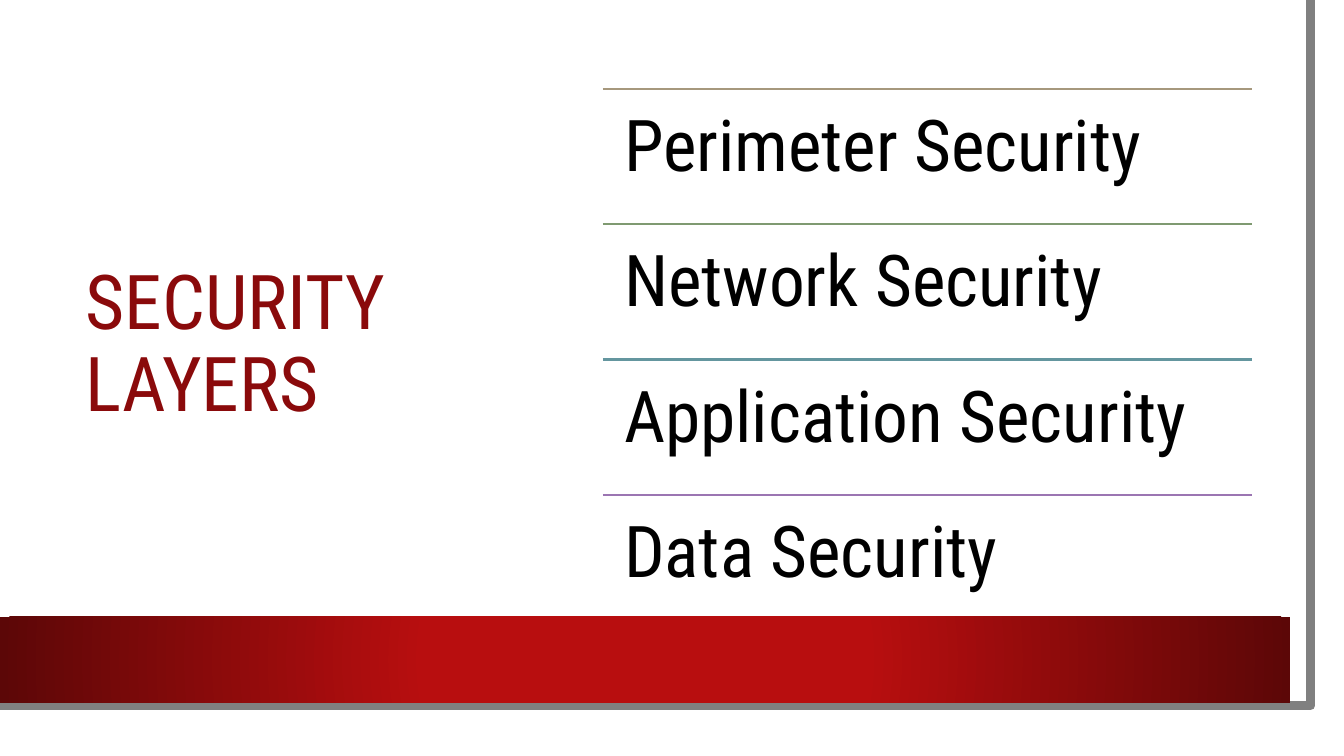
"""Build the security layers slide."""
import pptx
import pptx.dml.color
import pptx.enum.shapes
import pptx.enum.text
import pptx.oxml
import pptx.oxml.ns
import pptx.util

Inches = pptx.util.Inches
Pt = pptx.util.Pt

TITLE = "SECURITY LAYERS"
LAYERS = [
    ("Perimeter Security", "A6987D"),
    ("Network Security", "7F9A71"),
    ("Application Security", "64969F"),
    ("Data Security", "9B75B2"),
]
COLORS = {
    "sheet": "FFFFFF",
    "edge": "808080",
    "band": "B80E0F",
    "band_end": "5C0707",
    "title": "8A0A0B",
    "text": "000000",
}
FONT = "Roboto Condensed"
EDGE = [(12.82, 0), (12.85, 7.02), (-0.03, 7.01)]
LIST_LEFT, LIST_WIDTH = 5.98, 6.44
FIRST_RULE, LAST_RULE = 0.88, 4.91
GRADIENT_PATH = (
    f'<a:path {pptx.oxml.ns.nsdecls("a")} path="circle">'
    '<a:fillToRect l="50000" t="50000" r="50000" b="50000"/></a:path>'
)


def rgb(value):
    return pptx.dml.color.RGBColor.from_string(value)


def add_block(s, left, top, width, height):
    sp = s.shapes.add_shape(
        pptx.enum.shapes.MSO_SHAPE.RECTANGLE,
        Inches(left), Inches(top), Inches(width), Inches(height))
    sp.shadow.inherit = False
    sp.line.fill.background()
    return sp


def add_band(s):
    sp = add_block(s, 0, 6.12, 12.8, 0.85)
    sp.fill.gradient()
    stops = zip(sp.fill.gradient_stops, [(0.34, "band"), (1, "band_end")])
    for stop, (position, name) in stops:
        stop.position = position
        stop.color.rgb = rgb(COLORS[name])
    lin = sp._element.spPr.find(".//" + pptx.oxml.ns.qn("a:lin"))
    lin.getparent().replace(lin, pptx.oxml.parse_xml(GRADIENT_PATH))


def add_edge(s):
    builder = s.shapes.build_freeform(*EDGE[0], scale=Inches(1))
    builder.add_line_segments(EDGE[1:], close=False)
    sp = builder.convert_to_shape()
    sp.shadow.inherit = False
    sp.fill.background()
    sp.line.color.rgb = rgb(COLORS["edge"])
    sp.line.width = Pt(6.5)


def add_text(s, text, box, size, color, anchor, inset_x, inset_y):
    tf = s.shapes.add_textbox(*map(Inches, box)).text_frame
    tf.word_wrap = True
    tf.vertical_anchor = anchor
    tf.margin_left = tf.margin_right = Inches(inset_x)
    tf.margin_top = tf.margin_bottom = Inches(inset_y)
    tf.text = text
    p = tf.paragraphs[0]
    p.line_spacing = 0.9
    r = p.runs[0]
    r.font.name = FONT
    r.font.size = Pt(size)
    r.font.color.rgb = rgb(color)


def add_rule(s, top, color):
    line = s.shapes.add_connector(
        pptx.enum.shapes.MSO_CONNECTOR.STRAIGHT,
        Inches(LIST_LEFT), Inches(top),
        Inches(LIST_LEFT + LIST_WIDTH), Inches(top))
    line.line.color.rgb = rgb(color)
    line.line.width = Pt(1.5)
    line._element.spPr.append(pptx.oxml.parse_xml(
        f'<a:effectLst {pptx.oxml.ns.nsdecls("a")}/>'))


def main():
    prs = pptx.Presentation()
    prs.slide_width, prs.slide_height = Inches(13.33), Inches(7.5)
    s = prs.slides.add_slide(prs.slide_layouts[6])
    anchors = pptx.enum.text.MSO_ANCHOR

    sheet = add_block(s, 0, 0, 13.1, 7.27)
    sheet.fill.solid()
    sheet.fill.fore_color.rgb = rgb(COLORS["sheet"])
    add_edge(s)
    add_band(s)

    add_text(s, TITLE, (0.75, 0.7, 3.67, 5.46), 54, COLORS["title"],
             anchors.MIDDLE, 0.1, 0.05)
    pitch = (LAST_RULE - FIRST_RULE) / (len(LAYERS) - 1)
    for i, (layer, color) in enumerate(LAYERS):
        top = FIRST_RULE + i * pitch
        add_rule(s, top, color)
        add_text(s, layer, (LIST_LEFT, top, LIST_WIDTH, pitch), 51,
                 COLORS["text"], anchors.TOP, 0.21, 0.21)
    prs.save("out.pptx")


if __name__ == "__main__":
    main()
